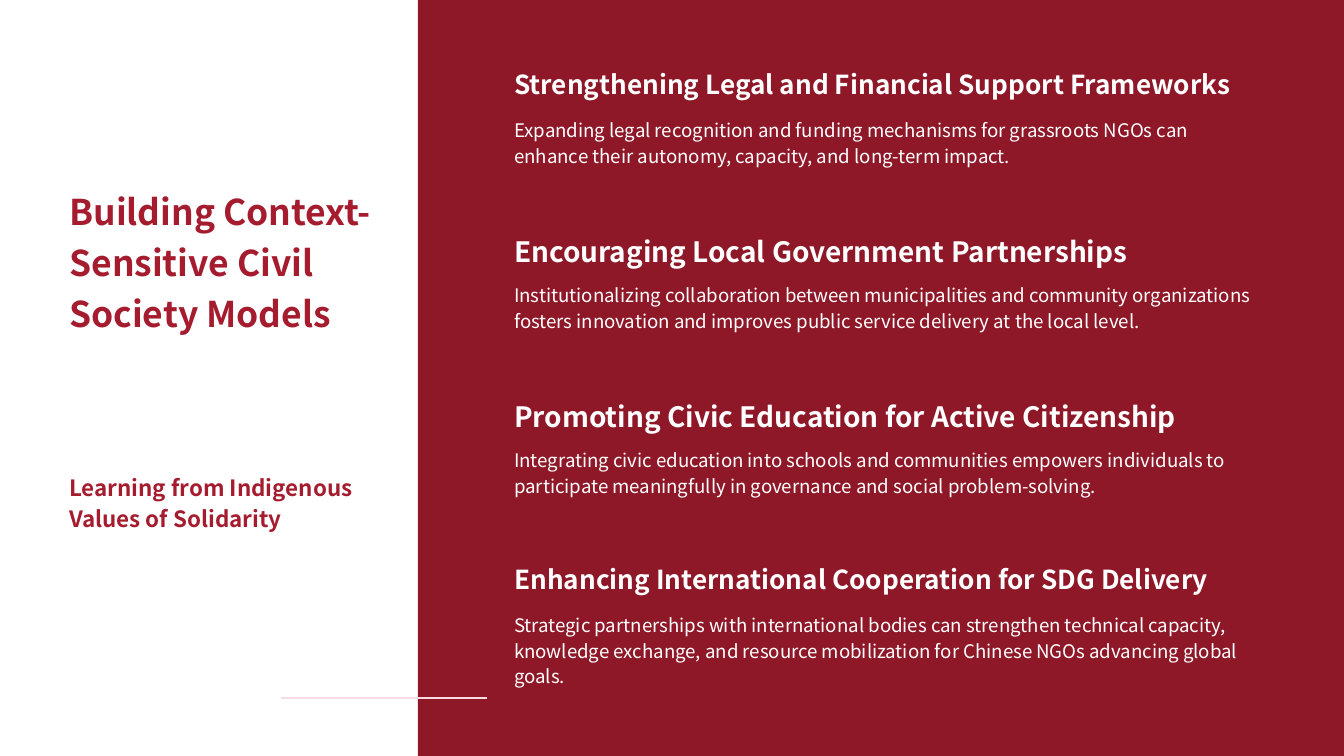
from dataclasses import dataclass

from lxml.etree import SubElement
from pptx import Presentation
from pptx.dml.color import RGBColor
from pptx.enum.shapes import MSO_CONNECTOR, MSO_SHAPE
from pptx.enum.text import MSO_ANCHOR, MSO_AUTO_SIZE, PP_ALIGN
from pptx.oxml.ns import qn
from pptx.shapes.base import BaseShape
from pptx.slide import Slide
from pptx.util import Emu, Inches, Pt

PX_PER_INCH = 134.4
SLIDE_WIDTH, SLIDE_HEIGHT = 1344, 756
PANEL_LEFT = 418


@dataclass(frozen=True)
class Theme:
    font: str = "Noto Sans CJK JP"
    crimson: str = "A61C2F"
    panel: str = "8E1828"
    white: str = "FFFFFF"
    rule: str = "F9DCE0"
    title_size: int = 19
    subtitle_size: int = 12
    body_size: int = 10


@dataclass(frozen=True)
class Box:
    left: int
    top: int
    width: int
    height: int


@dataclass(frozen=True)
class TextStyle:
    size: int
    color: str
    bold: bool
    line_spacing: float


@dataclass(frozen=True)
class Recommendation:
    heading: str
    heading_size: int
    body: str
    body_height: int = 91


THEME = Theme()
TITLE_STYLE = TextStyle(THEME.title_size, THEME.crimson, True, 1.2)
SUBTITLE_STYLE = TextStyle(THEME.subtitle_size, THEME.crimson, True, 1.15)
BODY_STYLE = TextStyle(THEME.body_size, THEME.white, False, 1.15)

TITLE_BOX = Box(56, 168, 337, 253)
SUBTITLE_BOX = Box(56, 457, 337, 94)
COLUMN_LEFT, COLUMN_WIDTH = 501, 771
FIRST_TOP, PITCH, BODY_OFFSET, HEADING_HEIGHT = 49, 165, 53, 70

RECOMMENDATIONS = [
    Recommendation(
        "Strengthening Legal and Financial Support Frameworks", 14,
        "Expanding legal recognition and funding mechanisms for grassroots NGOs can "
        "enhance their autonomy, capacity, and long-term impact."),
    Recommendation(
        "Encouraging Local Government Partnerships", 15,
        "Institutionalizing collaboration between municipalities and community organizations "
        "fosters innovation and improves public service delivery at the local level."),
    Recommendation(
        "Promoting Civic Education for Active Citizenship", 15,
        "Integrating civic education into schools and communities empowers individuals to "
        "participate meaningfully in governance and social problem-solving."),
    Recommendation(
        "Enhancing International Cooperation for SDG Delivery", 14,
        "Strategic partnerships with international bodies can strengthen technical capacity, "
        "knowledge exchange, and resource mobilization for Chinese NGOs advancing global goals.",
        body_height=124),
]


def px(length: int) -> Emu:
    return Emu(round(length * Inches(1) / PX_PER_INCH))


def place(shape: BaseShape, box: Box) -> None:
    shape.left, shape.top = px(box.left), px(box.top)
    shape.width, shape.height = px(box.width), px(box.height)


def write_text(shape: BaseShape, text: str, style: TextStyle) -> None:
    frame = shape.text_frame
    frame.text = text
    frame.word_wrap = True
    frame.auto_size = MSO_AUTO_SIZE.NONE
    frame.vertical_anchor = MSO_ANCHOR.TOP
    frame.margin_left = frame.margin_right = Inches(0.1)
    frame.margin_top = frame.margin_bottom = Inches(0.1)
    paragraph = frame.paragraphs[0]
    paragraph.alignment = PP_ALIGN.LEFT
    paragraph.line_spacing = style.line_spacing
    paragraph.space_before = Pt(3.8)
    paragraph.font.name = THEME.font
    paragraph.font.size = Pt(style.size)
    paragraph.font.bold = style.bold
    paragraph.font.color.rgb = RGBColor.from_string(style.color)


def add_text(slide: Slide, box: Box, text: str, style: TextStyle) -> None:
    shape = slide.shapes.add_textbox(0, 0, 0, 0)
    place(shape, box)
    write_text(shape, text, style)


def add_panel(slide: Slide) -> None:
    panel = slide.shapes.add_shape(
        MSO_SHAPE.RECTANGLE, px(PANEL_LEFT), 0,
        px(SLIDE_WIDTH - PANEL_LEFT), px(SLIDE_HEIGHT))
    panel.shadow.inherit = False
    panel.fill.solid()
    panel.fill.fore_color.rgb = RGBColor.from_string(THEME.panel)
    panel.line.fill.background()


def add_rule(slide: Slide, left: int, right: int, top: int) -> None:
    rule = slide.shapes.add_connector(
        MSO_CONNECTOR.STRAIGHT, px(left), px(top), px(right), px(top))
    rule.line.color.rgb = RGBColor.from_string(THEME.rule)
    rule.line.width = Pt(1.5)
    SubElement(rule._element.spPr, qn("a:effectLst"))


def add_recommendation(slide: Slide, top: int, item: Recommendation) -> None:
    heading_style = TextStyle(item.heading_size, THEME.white, True, 1.2)
    add_text(slide, Box(COLUMN_LEFT, top + BODY_OFFSET, COLUMN_WIDTH, item.body_height),
             item.body, BODY_STYLE)
    add_text(slide, Box(COLUMN_LEFT, top, COLUMN_WIDTH, HEADING_HEIGHT),
             item.heading, heading_style)


def main() -> None:
    presentation = Presentation()
    presentation.slide_width = px(SLIDE_WIDTH)
    presentation.slide_height = px(SLIDE_HEIGHT)
    slide = presentation.slides.add_slide(presentation.slide_layouts.get_by_name("Title Only"))

    title = slide.shapes.title
    place(title, TITLE_BOX)
    write_text(title, "Building Context-Sensitive Civil Society Models", TITLE_STYLE)
    add_panel(slide)
    add_rule(slide, 281, 487, 698)
    add_text(slide, SUBTITLE_BOX, "Learning from Indigenous Values of Solidarity", SUBTITLE_STYLE)
    for index, item in enumerate(RECOMMENDATIONS):
        add_recommendation(slide, FIRST_TOP + index * PITCH, item)

    presentation.save("out.pptx")


if __name__ == "__main__":
    main()
